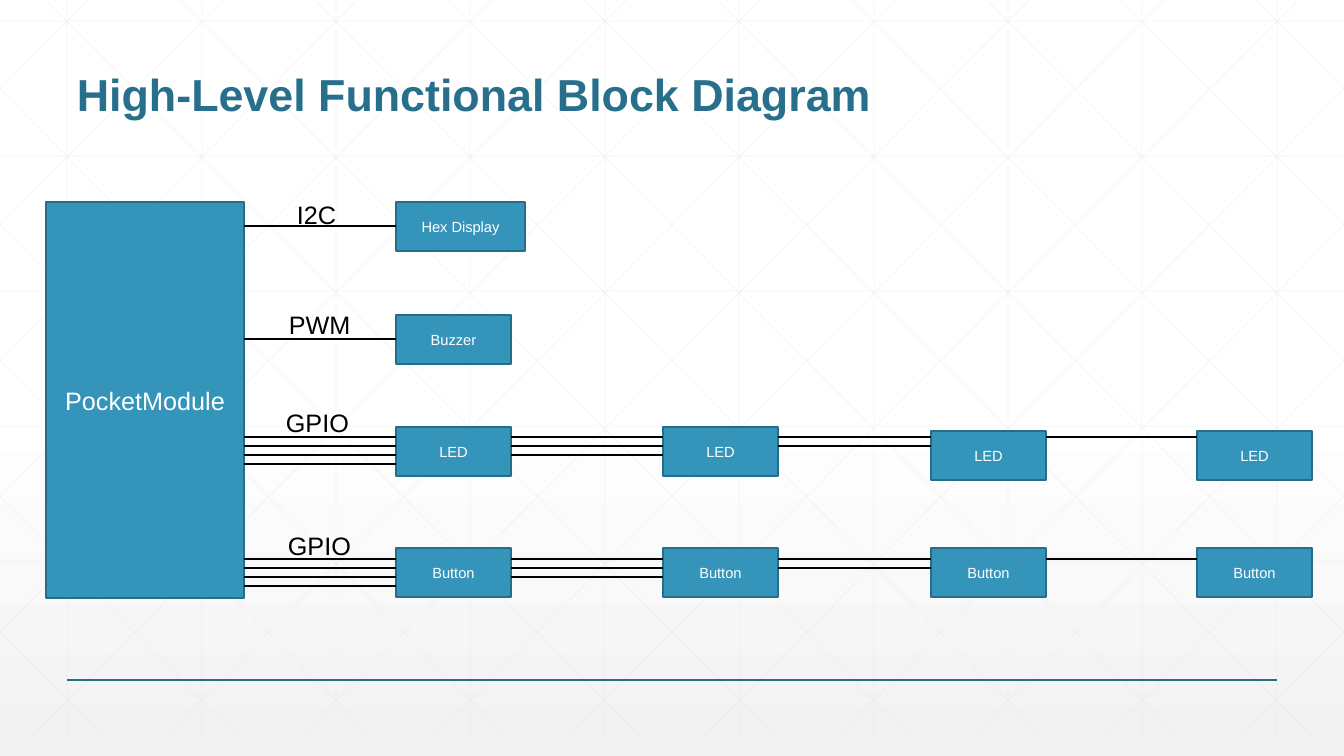
from dataclasses import dataclass
from lxml.etree import SubElement
from pptx import Presentation
from pptx.dml.color import RGBColor
from pptx.enum.shapes import MSO_CONNECTOR, MSO_SHAPE
from pptx.enum.text import MSO_ANCHOR, PP_ALIGN
from pptx.oxml.ns import qn
from pptx.util import Emu, Pt


@dataclass(frozen=True)
class Theme:
    """Colours, font and type sizes of the slide."""
    font: str = "Arial"
    title: str = "276F8B"
    block: str = "3494BA"
    border: str = "266D8A"
    wire: str = "000000"
    light: str = "FFFFFF"
    shade: str = "F2F2F2"
    grid: str = "D9D9D9"
    title_size: float = 32
    label_size: float = 18
    block_size: float = 10.5


WIDTH, HEIGHT = 1344, 756


class Canvas:
    """Draws styled elements on one slide, measured in pixels."""

    def __init__(self, presentation, theme):
        self.theme = theme
        presentation.slide_width = self.length(WIDTH)
        presentation.slide_height = self.length(HEIGHT)
        self.slide = presentation.slides.add_slide(presentation.slide_layouts[6])

    def length(self, pixels):
        """Turn pixels into EMU."""
        return Emu(round(pixels * 914400 / 100.8))

    def apply(self, target, values):
        """Set each attribute named in values."""
        for name, value in values.items():
            setattr(target, name, value)

    def background(self):
        """Fill the slide with a gradient that darkens towards the bottom."""
        fill = self.slide.background.fill
        fill.gradient()
        fill.gradient_angle = 270
        stops = ((0.53, self.theme.light), (1, self.theme.shade))
        for stop, (position, color) in zip(fill.gradient_stops, stops):
            stop.position = position
            stop.color.rgb = RGBColor.from_string(color)

    def line(self, start, end, color, width=1, opacity=100):
        """Draw a straight line."""
        points = [self.length(round(value)) for value in (*start, *end)]
        connector = self.slide.shapes.add_connector(MSO_CONNECTOR.STRAIGHT, *points)
        connector.line.width = Pt(width)
        connector.line.color.rgb = RGBColor.from_string(color)
        properties = connector._element.spPr
        if opacity < 100:
            tone = properties.find(".//" + qn("a:srgbClr"))
            SubElement(tone, qn("a:alpha"), val=str(opacity * 1000))
        SubElement(properties, qn("a:effectLst"))

    def caption(self, shape, text, size, color, frame_format, paragraph_format, bold=False):
        """Put one formatted paragraph into a shape."""
        frame = shape.text_frame
        self.apply(frame, frame_format)
        paragraph = frame.paragraphs[0]
        self.apply(paragraph, paragraph_format)
        run = paragraph.add_run()
        run.text = text
        self.apply(run.font, {"name": self.theme.font, "size": Pt(size), "bold": bold})
        run.font.color.rgb = RGBColor.from_string(color)

    def text(self, box, text, size, color, anchor=MSO_ANCHOR.TOP, spacing=1.0, bold=False):
        """Add a text box."""
        shape = self.slide.shapes.add_textbox(*map(self.length, box))
        self.caption(shape, text, size, color,
                     {"word_wrap": True, "vertical_anchor": anchor},
                     {"line_spacing": spacing}, bold)

    def block(self, box, text, size):
        """Add a captioned rectangle."""
        shape = self.slide.shapes.add_shape(MSO_SHAPE.RECTANGLE, *map(self.length, box))
        shape.shadow.inherit = False
        shape.fill.solid()
        shape.fill.fore_color.rgb = RGBColor.from_string(self.theme.block)
        shape.line.color.rgb = RGBColor.from_string(self.theme.border)
        shape.line.width = Pt(1)
        self.caption(shape, text, size, self.theme.light,
                     {"word_wrap": True, "vertical_anchor": MSO_ANCHOR.MIDDLE},
                     {"alignment": PP_ALIGN.CENTER})

    def grid(self):
        """Draw the faint lattice of straight and diagonal lines."""
        bottom, step, slope = 735, 134.4, 0.99
        lines = [((x, 0), (x, bottom)) for x in (67.2 + step * i for i in range(10))]
        lines += [((0, y), (WIDTH, y)) for y in range(21, bottom, 135)]
        for index in range(-5, 10):
            origin = 46 + step * index
            ends = (max(0, -origin / slope), min(bottom, (WIDTH - origin) / slope))
            falling = [(origin + slope * y, y) for y in ends]
            lines += [falling, [(WIDTH - x, y) for x, y in falling]]
        for start, end in lines:
            self.line(start, end, self.theme.grid, 0.5, 25)


def main():
    """Build the block diagram slide."""
    presentation = Presentation()
    theme = Theme()
    canvas = Canvas(presentation, theme)
    canvas.background()
    canvas.grid()
    canvas.line((67, 680), (1277, 680), theme.title)
    canvas.text((67, 25, 1210, 101), "High-Level Functional Block Diagram",
                theme.title_size, theme.title, MSO_ANCHOR.BOTTOM, 0.9, True)

    board_left, board_width = 46, 198
    board_right = board_left + board_width
    block_width, block_height = 115, 49
    columns = (396, 663, 931, 1197)
    canvas.block((board_left, 202, board_width, 396), "PocketModule", theme.label_size)

    for name, top, width in (("Hex Display", 202, 129), ("Buzzer", 315, block_width)):
        canvas.block((columns[0], top, width, block_height), name, theme.block_size)
        canvas.line((board_right, top + 24), (columns[0], top + 24), theme.wire)

    chains = (("LED", (427, 427, 431, 431), 437), ("Button", (548,) * 4, 559))
    for name, tops, first_wire in chains:
        wire_left = board_right
        for index, (left, top) in enumerate(zip(columns, tops)):
            canvas.block((left, top, block_width, block_height), name, theme.block_size)
            for wire in range(len(columns) - index):
                height = first_wire + 9 * wire
                canvas.line((wire_left, height), (left, height), theme.wire)
            wire_left = left + block_width

    labels = (("I2C", 287, 194), ("PWM", 279, 304), ("GPIO", 276, 402), ("GPIO", 278, 525))
    for name, left, top in labels:
        canvas.text((left, top, 84, 40), name, theme.label_size, theme.wire)

    presentation.save("out.pptx")


main()
